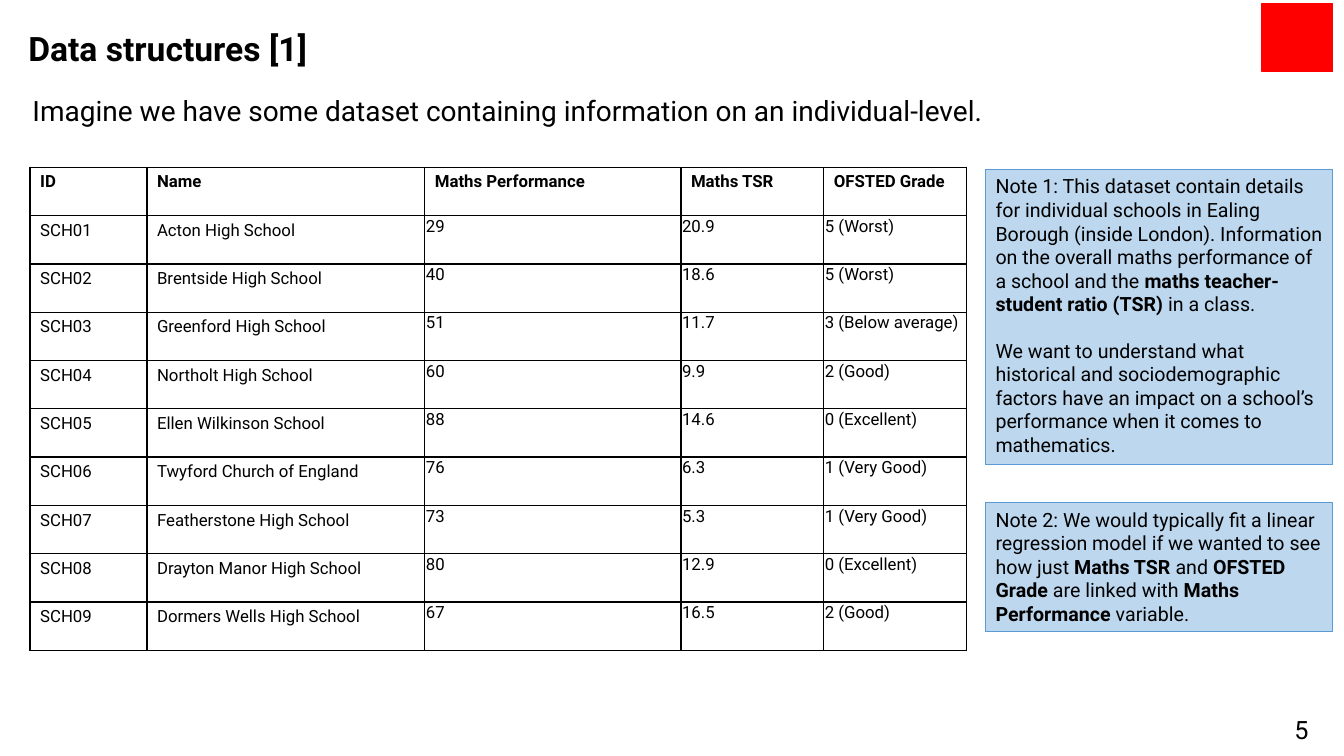
from lxml import etree
from pptx import Presentation
from pptx import util as u
from pptx.dml.color import RGBColor
from pptx.enum import shapes, text
from pptx.oxml import ns

BLACK = RGBColor(0x00, 0x00, 0x00)
RED = RGBColor(0xFF, 0x00, 0x00)
NOTE_FILL = RGBColor(0xBD, 0xD7, 0xEE)
NOTE_LINE = RGBColor(0x5B, 0x9B, 0xD5)
FONT = "Roboto"

COLUMN_WIDTHS = [83.5, 198.5, 183, 102, 102]
HEADER = ["ID", "Name", "Maths Performance", "Maths TSR", "OFSTED Grade"]
SCHOOLS = [
    ("Acton High School", "29", "20.9", "5 (Worst)"),
    ("Brentside High School", "40", "18.6", "5 (Worst)"),
    ("Greenford High School", "51", "11.7", "3 (Below average)"),
    ("Northolt High School", "60", "9.9", "2 (Good)"),
    ("Ellen Wilkinson School", "88", "14.6", "0 (Excellent)"),
    ("Twyford Church of England", "76", "6.3", "1 (Very Good)"),
    ("Featherstone High School", "73", "5.3", "1 (Very Good)"),
    ("Drayton Manor High School", "80", "12.9", "0 (Excellent)"),
    ("Dormers Wells High School", "67", "16.5", "2 (Good)"),
]

# Each note is a list of paragraphs; each paragraph is a list of (text, bold)
NOTE_1 = [
    [("Note 1: This dataset contain details for individual schools in Ealing Borough "
      "(inside London). Information on the overall maths performance of a school and the ", False),
     ("maths teacher-student ratio (TSR)", True), (" in a class.", False)],
    [("We want to understand what historical and sociodemographic factors have an impact "
      "on a school’s performance when it comes to mathematics.", False)],
]
NOTE_2 = [
    [("Note 2: We would typically fit a linear regression model if we wanted to see how just ", False),
     ("Maths TSR ", True), ("and ", False), ("OFSTED Grade ", True),
     ("are linked with ", False), ("Maths Performance", True), (" variable.", False)],
]


def apply(target, values):
    for name, value in values.items():
        setattr(target, name, value)


def add_run(paragraph, words, size, bold=False):
    run = paragraph.add_run()
    run.text = words
    apply(run.font, {"name": FONT, "size": u.Pt(size), "bold": bold})
    run.font.color.rgb = BLACK


def place(shape, box):
    for name, value in zip(("left", "top", "width", "height"), box):
        setattr(shape, name, u.Pt(value))


def write_text(shape, paragraphs, size, gap=0):
    frame = shape.text_frame
    apply(frame, {"word_wrap": True, "auto_size": text.MSO_AUTO_SIZE.NONE,
                  "vertical_anchor": text.MSO_ANCHOR.TOP})
    for index, runs in enumerate(paragraphs):
        paragraph = frame.add_paragraph() if index else frame.paragraphs[0]
        apply(paragraph, {"alignment": text.PP_ALIGN.LEFT,
                          "space_before": u.Pt(gap if index else 0)})
        for words, bold in runs:
            add_run(paragraph, words, size, bold)


def add_heading(slide, box):
    """Title with the introductory sentence below it."""
    left, top, width, height = box
    title, intro = slide.shapes.title, slide.placeholders[1]
    place(title, (left, top, width, 36))
    write_text(title, [[("Data structures [1]", True)]], 24)
    place(intro, (left + 3, top + 47, width - 120, height - 47))
    write_text(intro, [[("Imagine we have some dataset containing information "
                         "on an individual-level.", False)]], 20)
    properties = intro.text_frame.paragraphs[0]._p.get_or_add_pPr()
    properties.set("marL", "0")
    properties.set("indent", "0")
    etree.SubElement(properties, ns.qn("a:buNone"))


def set_borders(cell):
    properties = cell._tc.get_or_add_tcPr()
    for position, side in enumerate(("lnL", "lnR", "lnT", "lnB")):
        line = etree.Element(ns.qn("a:" + side), w=str(u.Pt(1)))
        fill = etree.SubElement(line, ns.qn("a:solidFill"))
        etree.SubElement(fill, ns.qn("a:srgbClr"), val=str(BLACK))
        properties.insert(position, line)


def add_school_table(slide, box):
    rows = [HEADER] + [(f"SCH{number:02}", *school)
                       for number, school in enumerate(SCHOOLS, 1)]
    frame = slide.shapes.add_table(len(rows), len(HEADER), *map(u.Pt, box))
    table = frame.table
    apply(table, {"first_row": False, "horz_banding": False})
    for column, width in zip(table.columns, COLUMN_WIDTHS):
        column.width = u.Pt(width)
    for row in table.rows:
        row.height = u.Pt(box[3] / len(rows))
    for row_index, values in enumerate(rows):
        for column_index, value in enumerate(values):
            cell = table.cell(row_index, column_index)
            cell.fill.background()
            set_borders(cell)
            # Measured values sit tight against the cell's corner
            if row_index and column_index > 1:
                apply(cell, {"margin_left": u.Pt(0.75), "margin_right": u.Pt(0.75),
                             "margin_top": u.Pt(0.75), "margin_bottom": u.Pt(0)})
            add_run(cell.text_frame.paragraphs[0], value, 12, row_index == 0)


def add_rectangle(slide, box, fill, line, line_width):
    shape = slide.shapes.add_shape(shapes.MSO_SHAPE.RECTANGLE, *map(u.Pt, box))
    shape.shadow.inherit = False
    shape.fill.solid()
    shape.fill.fore_color.rgb = fill
    shape.line.color.rgb = line
    shape.line.width = u.Pt(line_width)
    return shape


def add_notes_column(slide, box):
    """Two notes, at the top and the bottom of the column."""
    left, top, width, height = box
    for paragraphs, offset, note_height in ((NOTE_1, 0, 211), (NOTE_2, height - 92, 92)):
        note = add_rectangle(slide, (left, top + offset, width, note_height),
                             NOTE_FILL, NOTE_LINE, 0.75)
        write_text(note, paragraphs, 14, gap=16.5)


def add_page_number(slide, box):
    number = slide.shapes.add_textbox(*map(u.Pt, box))
    write_text(number, [[("5", False)]], 18)


def main():
    presentation = Presentation()
    apply(presentation, {"slide_width": u.Pt(960), "slide_height": u.Pt(540)})
    slide = presentation.slides.add_slide(presentation.slide_layouts[1])

    add_page_number(slide, (917.5, 507, 42.5, 11.5))
    # Corner square
    add_rectangle(slide, (901.5, 2.5, 50.5, 48.5), RED, RED, 1)
    add_school_table(slide, (21.5, 119.5, 669, 345))
    add_heading(slide, (13, 16, 824, 78.5))
    add_notes_column(slide, (704, 121, 248, 330))

    presentation.save("out.pptx")


if __name__ == "__main__":
    main()
